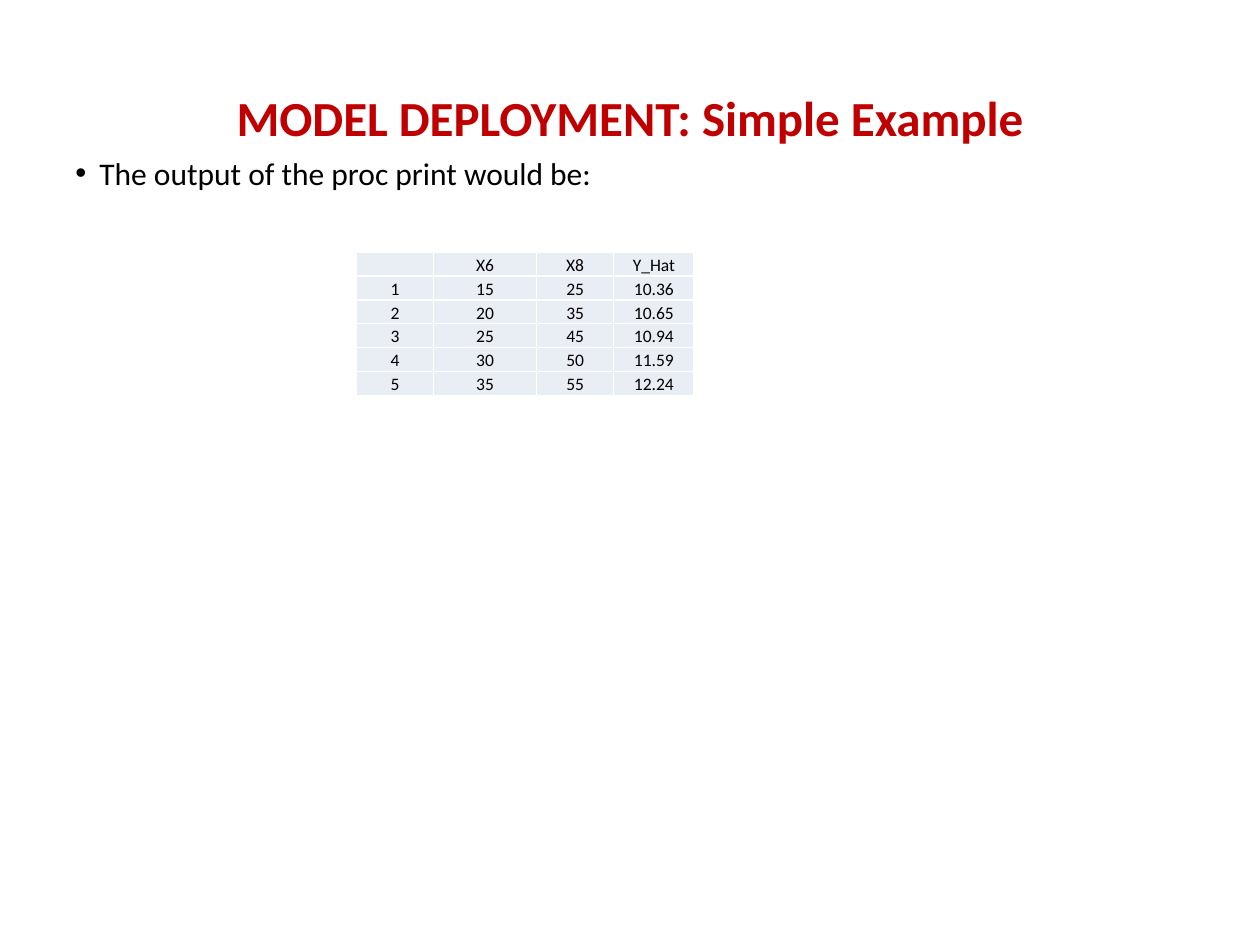
from dataclasses import dataclass

from lxml.etree import SubElement
from pptx import Presentation
from pptx.dml.color import RGBColor as Color
from pptx.enum.text import MSO_ANCHOR as Anchor, PP_ALIGN as Align
from pptx.oxml.ns import qn
from pptx.util import Inches, Pt


@dataclass(frozen=True)
class Theme:
    font: str = "Calibri"
    red: str = "C00000"
    black: str = "000000"
    white: str = "FFFFFF"
    cell: str = "E9EDF4"
    title: int = 28
    body: int = 18
    table: int = 10


theme = Theme()


def write(para, text, size, color, bold=False):
    span = para.add_run()
    span.text = text
    for name, value in {"name": theme.font, "size": Pt(size), "bold": bold}.items():
        setattr(span.font, name, value)
    span.font.color.rgb = Color.from_string(color)


def add_text(page, place, anchor):
    frame = page.shapes.add_textbox(*map(Inches, place)).text_frame
    frame.word_wrap = True
    frame.vertical_anchor = anchor
    return frame.paragraphs[0]


deck = Presentation()
deck.slide_width, deck.slide_height = Inches(10), Inches(7.5)
page = deck.slides.add_slide(deck.slide_layouts[6])

# Title
para = add_text(page, (0.5, 0.3, 9, 1.25), Anchor.MIDDLE)
para.alignment = Align.CENTER
write(para, "MODEL DEPLOYMENT: Simple Example", theme.title, theme.red, bold=True)

# Bullet
para = add_text(page, (0.5, 1.17, 9, 0.4), Anchor.TOP)
write(para, "The output of the proc print would be:", theme.body, theme.black)
props = para._p.get_or_add_pPr()
props.set("marL", str(Inches(0.19)))
props.set("indent", str(Inches(-0.19)))
SubElement(props, qn("a:buFont"), typeface="Arial")
SubElement(props, qn("a:buChar"), char="•")

# Output table
rows = [
    ("", "X6", "X8", "Y_Hat"),
    ("1", "15", "25", "10.36"),
    ("2", "20", "35", "10.65"),
    ("3", "25", "45", "10.94"),
    ("4", "30", "50", "11.59"),
    ("5", "35", "55", "12.24"),
]
widths = [0.61, 0.82, 0.61, 0.64]
row_height = 0.19
place = (2.83, 2, sum(widths), row_height * len(rows))
table = page.shapes.add_table(len(rows), len(widths), *map(Inches, place)).table
table.first_row = table.horz_banding = False
for column, width in zip(table.columns, widths):
    column.width = Inches(width)

cell_format = {
    "vertical_anchor": Anchor.BOTTOM,
    "margin_left": Inches(0.01),
    "margin_right": Inches(0.01),
    "margin_top": Inches(0.01),
    "margin_bottom": 0,
}
for r, values in enumerate(rows):
    table.rows[r].height = Inches(row_height)
    for c, value in enumerate(values):
        cell = table.cell(r, c)
        for name, setting in cell_format.items():
            setattr(cell, name, setting)
        para = cell.text_frame.paragraphs[0]
        para.alignment = Align.CENTER
        if value:
            write(para, value, theme.table, theme.black)
        else:  # keeps the empty cell from stretching its row
            SubElement(para._p, qn("a:endParaRPr"), sz=str(theme.table * 100))

        # Borders come before the fill in the cell properties
        for side in ("lnL", "lnR", "lnT", "lnB"):
            line = SubElement(cell._tc.get_or_add_tcPr(), qn(f"a:{side}"), w=str(Pt(1)))
            SubElement(SubElement(line, qn("a:solidFill")), qn("a:srgbClr"), val=theme.white)
        cell.fill.solid()
        cell.fill.fore_color.rgb = Color.from_string(theme.cell)

deck.save("out.pptx")
